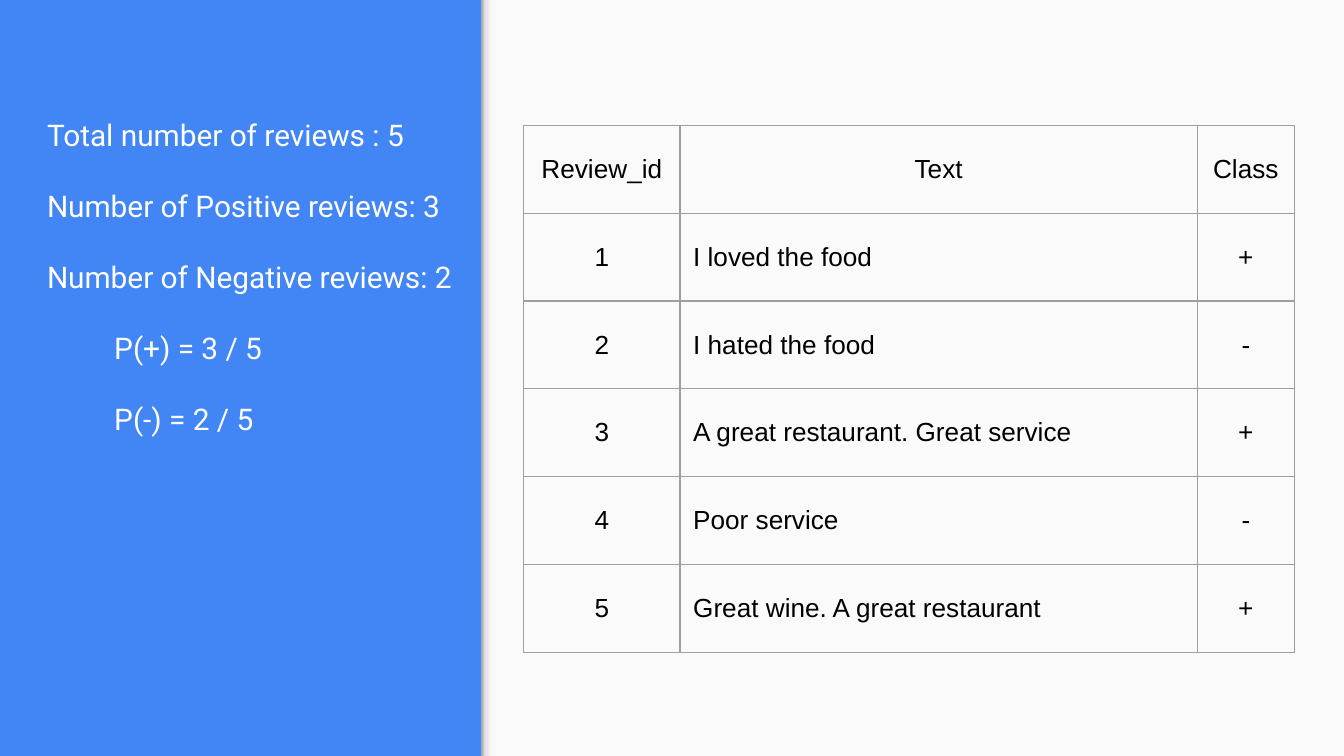
from lxml import etree
from pptx import Presentation
from pptx.dml.color import RGBColor
from pptx.enum.shapes import MSO_SHAPE
from pptx.enum.text import MSO_ANCHOR, PP_ALIGN
from pptx.oxml import parse_xml
from pptx.oxml.ns import nsdecls, qn
from pptx.util import Cm, Pt

COLORS = {
    "blue": "4285F4",
    "panel": "FAFAFA",
    "pale": "F9F9F9",
    "light": "DEDEDE",
    "grey": "999999",
    "border": "9E9E9E",
    "white": "FFFFFF",
    "black": "000000",
}
WIDTH, HEIGHT = Cm(25.4), Cm(14.29)
PANEL_LEFT = Cm(9.1)
INSET = Cm(0.25)

SUMMARY = [
    ("Total number of reviews : 5", 0),
    ("Number of Positive reviews: 3", 0),
    ("Number of Negative reviews: 2", 0),
    ("P(+) = 3 / 5", 1.27),
    ("P(-) = 2 / 5", 1.27),
]
REVIEWS = [
    ("Review_id", "Text", "Class"),
    ("1", "I loved the food", "+"),
    ("2", "I hated the food", "-"),
    ("3", "A great restaurant. Great service", "+"),
    ("4", "Poor service", "-"),
    ("5", "Great wine. A great restaurant", "+"),
]
COLUMN_WIDTHS = [Cm(2.95), Cm(9.78), Cm(1.83)]
ROW_HEIGHT = Cm(1.66)


def color(name):
    return RGBColor.from_string(COLORS[name])


def set_font(para, name, size, color_name):
    para.font.name = name
    para.font.size = Pt(size)
    para.font.color.rgb = color(color_name)


def set_insets(frame):
    frame.margin_left = frame.margin_right = INSET
    frame.margin_top = frame.margin_bottom = INSET


def add_rectangle(page, left, width):
    """Add a plain rectangle of full slide height."""
    shape = page.shapes.add_shape(MSO_SHAPE.RECTANGLE, left, 0, width, HEIGHT)
    shape.shadow.inherit = False
    shape.line.fill.background()
    return shape


def add_panel(page):
    panel = add_rectangle(page, PANEL_LEFT, WIDTH - PANEL_LEFT)
    panel.fill.solid()
    panel.fill.fore_color.rgb = color("panel")


def add_edge_shade(page):
    """Add the narrow strip that fades from grey to the panel colour."""
    strip = add_rectangle(page, PANEL_LEFT, Cm(0.3))
    strip.fill.gradient()
    strip.fill.gradient_angle = 0
    stops = strip._element.spPr.find(qn("a:gradFill")).find(qn("a:gsLst"))
    for stop in list(stops):
        stops.remove(stop)
    for percent, name in [(0, "grey"), (20, "light"), (64, "pale"), (100, "pale")]:
        stop = etree.SubElement(stops, qn("a:gs"), pos=str(percent * 1000))
        etree.SubElement(stop, qn("a:srgbClr"), val=COLORS[name])


def add_summary(page):
    box = page.shapes.add_textbox(Cm(0.64), Cm(1.85), Cm(8.41), Cm(11))
    frame = box.text_frame
    frame.word_wrap = True
    set_insets(frame)
    for index, (text, indent) in enumerate(SUMMARY):
        para = frame.paragraphs[0] if index == 0 else frame.add_paragraph()
        para.text = text
        para.line_spacing = 1.15
        para.space_after = Pt(16)
        if indent:  # first-line indent
            properties = para._p.get_or_add_pPr()
            properties.set("marL", "0")
            properties.set("indent", str(Cm(indent)))
        set_font(para, "Roboto", 16, "white")


def set_borders(cell):
    properties = cell._tc.get_or_add_tcPr()
    for index, side in enumerate(["lnL", "lnR", "lnT", "lnB"]):
        properties.insert(index, parse_xml(
            f'<a:{side} {nsdecls("a")} w="{Pt(0.75)}"><a:solidFill>'
            f'<a:srgbClr val="{COLORS["border"]}"/></a:solidFill></a:{side}>'))


def fill_cell(cell, text, alignment):
    cell.text = text
    cell.fill.background()
    cell.vertical_anchor = MSO_ANCHOR.MIDDLE
    set_insets(cell)
    set_borders(cell)
    para = cell.text_frame.paragraphs[0]
    para.alignment = alignment
    set_font(para, "Arial", 14, "black")


def add_review_table(page):
    table = page.shapes.add_table(
        len(REVIEWS), len(COLUMN_WIDTHS), Cm(9.9), Cm(2.37),
        sum(COLUMN_WIDTHS), ROW_HEIGHT * len(REVIEWS)).table
    table.first_row = table.horz_banding = False
    for column, width in zip(table.columns, COLUMN_WIDTHS):
        column.width = width
    for row, values in enumerate(REVIEWS):
        table.rows[row].height = ROW_HEIGHT
        for column, text in enumerate(values):
            is_review = row > 0 and column == 1
            alignment = PP_ALIGN.LEFT if is_review else PP_ALIGN.CENTER
            fill_cell(table.cell(row, column), text, alignment)


def main():
    deck = Presentation()
    deck.slide_width, deck.slide_height = WIDTH, HEIGHT
    page = deck.slides.add_slide(deck.slide_layouts[6])

    # Blue background with the light panel on the right
    page.background.fill.solid()
    page.background.fill.fore_color.rgb = color("blue")
    add_panel(page)
    add_edge_shade(page)

    # Counts on the left, reviews on the right
    add_summary(page)
    add_review_table(page)
    deck.save("out.pptx")


if __name__ == "__main__":
    main()
